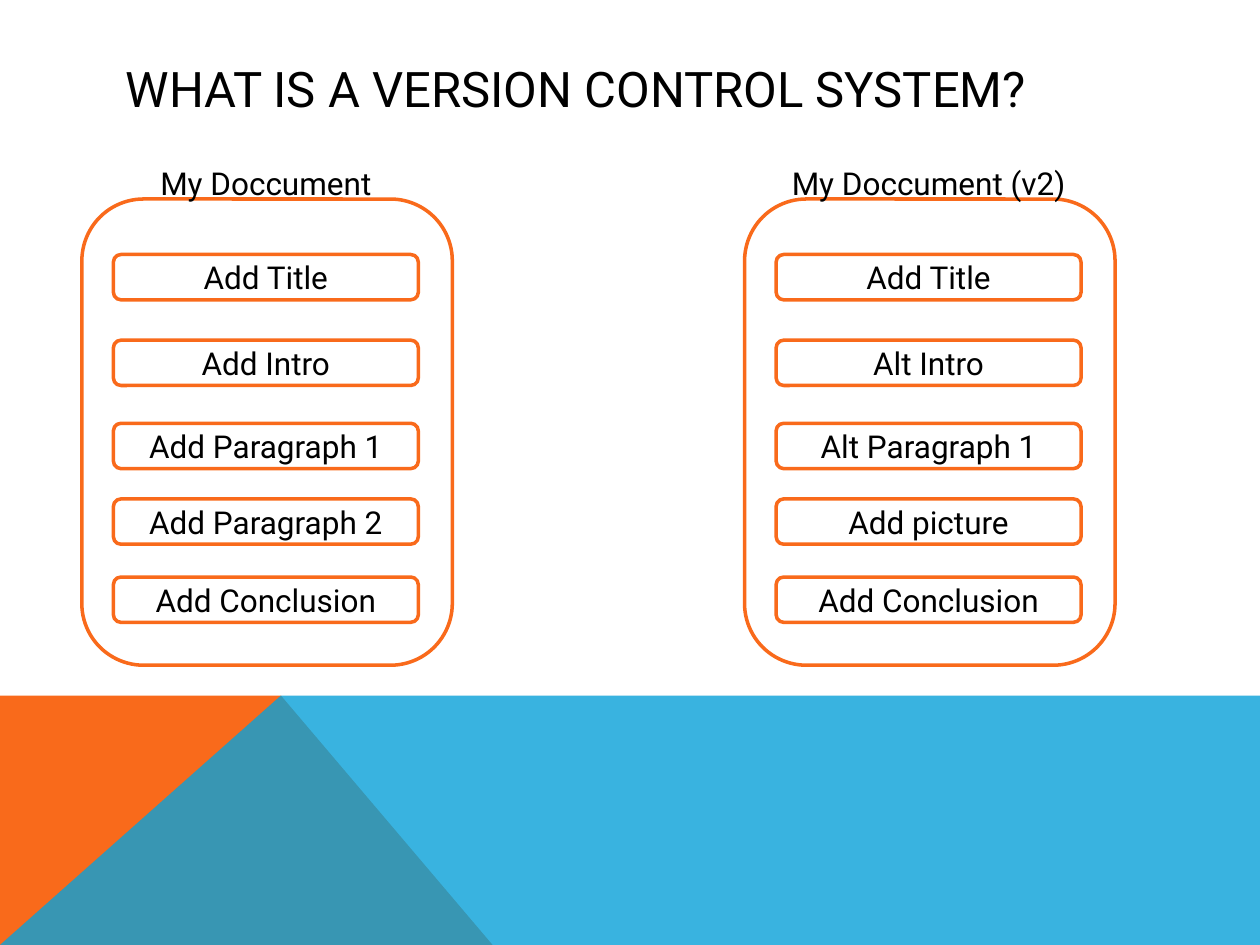
from lxml import etree
from pptx import Presentation
from pptx.dml.color import RGBColor
from pptx.enum import shapes, text
from pptx.oxml import ns
from pptx.util import Inches, Pt

ORANGE = RGBColor(0xF9, 0x6A, 0x1B)
BLUE = RGBColor(0x08, 0xA1, 0xD9)
WHITE = RGBColor(0xFF, 0xFF, 0xFF)
BLACK = RGBColor(0, 0, 0)
FONT = "Roboto"

HEADING = "WHAT IS A VERSION CONTROL SYSTEM?"
DOCUMENTS = [
    (0.9, "My Doccument",
     ["Add Title", "Add Intro", "Add Paragraph 1", "Add Paragraph 2", "Add Conclusion"]),
    (6.16, "My Doccument (v2)",
     ["Add Title", "Alt Intro", "Alt Paragraph 1", "Add picture", "Add Conclusion"]),
]
STEP_TOPS = [2.02, 2.7, 3.36, 3.96, 4.58]
STEP_WIDTH, STEP_HEIGHT = 2.42, 0.36
BANDS = [
    (ORANGE, 100, [(0, 7.5), (0, 5.52), (2.23, 5.52), (3.91, 7.5)]),
    (BLUE, 80, [(0, 7.5), (2.23, 5.52), (10, 5.52), (10, 7.5)]),
]

deck = Presentation()
deck.slide_width, deck.slide_height = Inches(10), Inches(7.5)
slide = deck.slides.add_slide(deck.slide_layouts[6])


def write(shape, words, size, align, anchor):
    frame = shape.text_frame
    frame.word_wrap = True
    frame.vertical_anchor = anchor
    line = frame.paragraphs[0]
    line.text = words
    line.alignment = align
    line.font.name = FONT
    line.font.size = Pt(size)
    line.font.color.rgb = BLACK


def add_label(box, words, size, align, anchor):
    label = slide.shapes.add_textbox(*map(Inches, box))
    write(label, words, size, align, anchor)


def add_outline(kind, box):
    outline = slide.shapes.add_shape(kind, *map(Inches, box))
    outline.shadow.inherit = False
    outline.fill.background()
    outline.line.color.rgb = ORANGE
    outline.line.width = Pt(2)
    return outline


def add_band(color, opacity, corners):
    points = [(Inches(x), Inches(y)) for x, y in corners]
    builder = slide.shapes.build_freeform(*points[0])
    builder.add_line_segments(points[1:], close=True)
    band = builder.convert_to_shape()
    band.shadow.inherit = False
    band.fill.solid()
    band.fill.fore_color.rgb = color
    band.line.fill.background()
    if opacity < 100:
        tint = band.element.spPr.find(ns.qn("a:solidFill"))[0]
        etree.SubElement(tint, ns.qn("a:alpha"), val=str(opacity * 1000))


for band in BANDS:
    add_band(*band)

add_label((0.9, 0.4, 8.22, 0.6), HEADING, 28, text.PP_ALIGN.LEFT, text.MSO_ANCHOR.MIDDLE)

for left, name, steps in DOCUMENTS:
    for top, words in zip(STEP_TOPS, steps):
        step = add_outline(shapes.MSO_SHAPE.FLOWCHART_ALTERNATE_PROCESS,
                           (left, top, STEP_WIDTH, STEP_HEIGHT))
        step.fill.solid()
        step.fill.fore_color.rgb = WHITE
        write(step, words, 18, text.PP_ALIGN.CENTER, text.MSO_ANCHOR.MIDDLE)
    add_outline(shapes.MSO_SHAPE.ROUNDED_RECTANGLE, (left - 0.25, 1.58, 2.94, 3.7))
    add_label((left, 1.25, STEP_WIDTH, 0.4), name, 18,
              text.PP_ALIGN.CENTER, text.MSO_ANCHOR.TOP)

deck.save("out.pptx")
